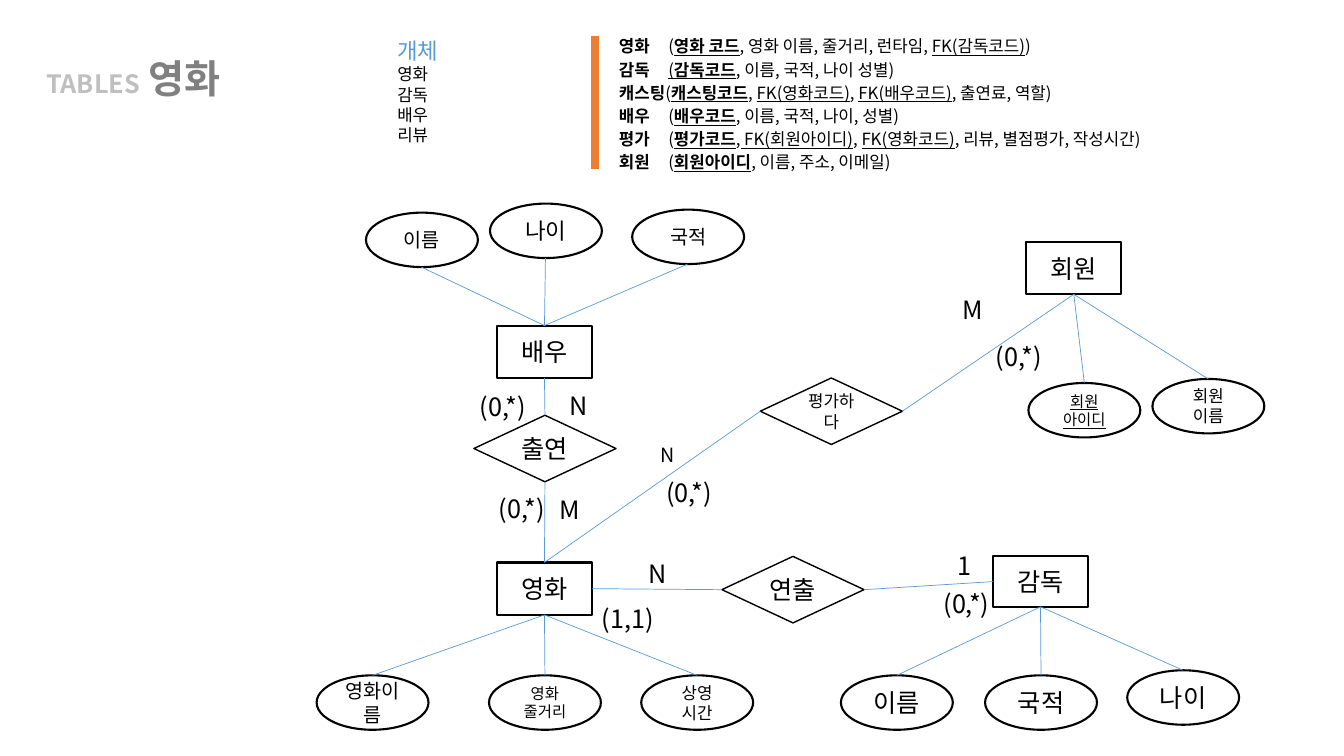
"""Draw the film database slide with its tables and entity diagram."""
from dataclasses import dataclass
from typing import NamedTuple

from lxml.etree import SubElement
from pptx import Presentation
from pptx.dml.color import RGBColor
from pptx.enum.shapes import MSO_CONNECTOR, MSO_SHAPE
from pptx.enum.text import MSO_ANCHOR, MSO_AUTO_SIZE, PP_ALIGN
from pptx.oxml.ns import qn
from pptx.shapes.connector import Connector
from pptx.slide import Slide
from pptx.text.text import TextFrame, _Paragraph
from pptx.util import Emu, Pt

BLACK = RGBColor(0x00, 0x00, 0x00)
WHITE = RGBColor(0xFF, 0xFF, 0xFF)
BLUE = RGBColor(0x5B, 0x9B, 0xD5)
ORANGE = RGBColor(0xED, 0x7D, 0x31)
SILVER = RGBColor(0xBF, 0xBF, 0xBF)
GRAY = RGBColor(0x80, 0x80, 0x80)
FONT = "Noto Sans CJK KR"
SCALE = 9144
TOP, LEFT, BOTTOM, RIGHT = range(4)


@dataclass(frozen=True)
class Kind:
    """Outline, size and line weight shared by like nodes."""
    form: MSO_SHAPE
    wide: int
    high: int
    weight: float


BOX = Kind(MSO_SHAPE.RECTANGLE, 94, 52, 1.5)
LOW = Kind(MSO_SHAPE.RECTANGLE, 94, 50, 1.5)
OVAL = Kind(MSO_SHAPE.OVAL, 111, 54, 1.5)
GEM = Kind(MSO_SHAPE.DIAMOND, 141, 66, 1)


class Node(NamedTuple):
    """One entity, relation or attribute."""
    text: str
    kind: Kind
    left: int
    top: int
    size: int = 18
    under: bool = False

    def side(self, site: int) -> tuple[int, int]:
        """Return the middle of one side."""
        wide, high = self.kind.wide, self.kind.high
        across, down = ((wide // 2, 0), (0, high // 2),
                        (wide // 2, high), (wide, high // 2))[site]
        return self.left + across, self.top + down


class Fan(NamedTuple):
    """Links from one side of a node to several others."""
    hub: str
    site: int
    ends: tuple[str, ...]
    side: int


class Label(NamedTuple):
    """A count beside a link."""
    text: str
    left: int
    top: int
    wide: int = 74
    size: int = 18


NODES = {
    "film": Node("영화", BOX, 493, 558),
    "film name": Node("영화이름", OVAL, 314, 670, 14),
    "plot": Node("영화 줄거리", OVAL, 485, 670, 11),
    "length": Node("상영 시간", OVAL, 636, 670, 12),
    "maker": Node("감독", LOW, 985, 552),
    "maker name": Node("이름", OVAL, 834, 670),
    "maker land": Node("국적", OVAL, 977, 670),
    "maker age": Node("나이", OVAL, 1118, 665),
    "direct": Node("연출", GEM, 716, 552),
    "actor": Node("배우", BOX, 493, 323),
    "actor name": Node("이름", OVAL, 363, 211, 14),
    "actor age": Node("나이", OVAL, 486, 202, 16),
    "actor land": Node("국적", OVAL, 627, 208, 14),
    "cast": Node("출연", GEM, 470, 412),
    "member": Node("회원", BOX, 1018, 240),
    "member id": Node("회원 아이디", OVAL, 1020, 380, 11, True),
    "member name": Node("회원 이름", OVAL, 1143, 376, 12),
    "rate": Node("평가하다", GEM, 754, 375, 12),
}
FANS = (
    Fan("film", BOTTOM, ("film name", "plot", "length"), TOP),
    Fan("maker", BOTTOM, ("maker name", "maker land", "maker age"), TOP),
    Fan("actor", TOP, ("actor name", "actor age", "actor land"), BOTTOM),
    Fan("member", BOTTOM, ("member id", "member name"), TOP),
    Fan("direct", LEFT, ("film",), RIGHT),
    Fan("maker", LEFT, ("direct",), RIGHT),
    Fan("cast", BOTTOM, ("film",), TOP),
    Fan("actor", BOTTOM, ("cast",), TOP),
    Fan("member", BOTTOM, ("rate",), RIGHT),
    Fan("rate", LEFT, ("film",), TOP),
)
LABELS = (
    Label("M", 545, 485, 34), Label("1", 940, 541, 34), Label("N", 633, 549, 34),
    Label("N", 555, 382, 34), Label("M", 945, 287, 34), Label("N", 645, 434, 34, 14),
    Label("(1,1)", 587, 594), Label("(0,*)", 651, 469), Label("(0,*)", 926, 579),
    Label("(0,*)", 466, 383), Label("(0,*)", 978, 334), Label("(0,*)", 485, 484),
)
TABLES = (
    (("영화\t", "b"), ("(", ""), ("영화 코드", "bu"), (", 영화 이름, 줄거리, 런타임, ", ""),
     ("FK(감독코드)", "u"), (")", "")),
    (("감독\t", "b"), ("(", "u"), ("감독코드", "bu"), (", 이름, 국적, 나이 성별)", "")),
    (("캐스팅", "b"), ("(", ""), ("캐스팅코드", "bu"), (", ", ""), ("FK(영화코드)", "u"),
     (", ", ""), ("FK(배우코드)", "u"), (", 출연료, 역할)", "")),
    (("배우\t", "b"), ("(", ""), ("배우코드", "bu"), (", 이름, 국적, 나이, 성별)", "")),
    (("평가\t", "b"), ("(", ""), ("평가코드", "bu"), (",", ""), (" FK(회원아이디)", "u"),
     (", ", ""), ("FK(영화코드)", "u"), (", 리뷰, 별점평가, 작성시간)", "")),
    (("회원\t", "b"), ("(", ""), ("회원아이디", "bu"), (", 이름, 주소, 이메일)", "")),
)
ITEMS = ("개체", "영화", "감독", "배우", "리뷰")
TITLE = (("TABLES", 18, SILVER), (" ", 28, SILVER), ("영화", 28, GRAY))


def px(count: int) -> Emu:
    """Turn px into EMU."""
    return Emu(count * SCALE)


def add_run(para: _Paragraph, text: str, size: int, color: RGBColor = BLACK,
            mark: str = "") -> None:
    """Add one run; mark holds b for bold and u for underline."""
    run = para.add_run()
    run.text = text
    font = run.font
    font.name, font.size = FONT, Pt(size)
    font.bold, font.underline = "b" in mark, "u" in mark
    font.color.rgb = color
    SubElement(run._r.get_or_add_rPr(), qn("a:ea"), typeface=FONT)


def add_para(frame: TextFrame, first: bool) -> _Paragraph:
    """Return the first paragraph or a new one."""
    return frame.paragraphs[0] if first else frame.add_paragraph()


def add_text(slide: Slide, left: int, top: int, wide: int, high: int) -> TextFrame:
    """Add a wrapping text box that grows."""
    frame = slide.shapes.add_textbox(px(left), px(top), px(wide), px(high)).text_frame
    frame.word_wrap = True
    frame.auto_size = MSO_AUTO_SIZE.SHAPE_TO_FIT_TEXT
    return frame


def add_line(slide: Slide, start: tuple[int, int], end: tuple[int, int],
             color: RGBColor, weight: float) -> Connector:
    """Add a straight line with no shadow."""
    line = slide.shapes.add_connector(
        MSO_CONNECTOR.STRAIGHT, *(px(spot) for spot in start + end))
    line.line.color.rgb, line.line.width = color, Pt(weight)
    SubElement(line._element.spPr, qn("a:effectLst"))
    return line


def add_chart(slide: Slide) -> None:
    """Draw the nodes, their links and the counts."""
    shapes = {}
    for name, node in NODES.items():
        kind = node.kind
        shape = slide.shapes.add_shape(
            kind.form, px(node.left), px(node.top), px(kind.wide), px(kind.high))
        shape.shadow.inherit = False
        shape.fill.solid()
        shape.fill.fore_color.rgb = WHITE
        shape.line.color.rgb, shape.line.width = BLACK, Pt(kind.weight)
        frame = shape.text_frame
        frame.word_wrap, frame.vertical_anchor = True, MSO_ANCHOR.MIDDLE
        para = frame.paragraphs[0]
        para.alignment = PP_ALIGN.CENTER
        add_run(para, node.text, node.size, mark="u" if node.under else "")
        shapes[name] = shape
    for fan in FANS:
        for end in fan.ends:
            hub, leaf = NODES[fan.hub], NODES[end]
            line = add_line(slide, hub.side(fan.site), leaf.side(fan.side), BLUE, 0.5)
            line.begin_connect(shapes[fan.hub], fan.site)
            if leaf.kind != OVAL or fan.side == TOP:
                line.end_connect(shapes[end], fan.side)
    for label in LABELS:
        frame = add_text(slide, label.left, label.top, label.wide, 32)
        add_run(frame.paragraphs[0], label.text, label.size)


def add_head(slide: Slide) -> None:
    """Write the title, the entity list and the table list."""
    title = add_text(slide, 36, 49, 259, 57).paragraphs[0]
    for text, size, color in TITLE:
        add_run(title, text, size, color, "b")
    frame = add_text(slide, 394, 37, 89, 157)
    frame.auto_size = MSO_AUTO_SIZE.NONE
    frame.margin_left = frame.margin_right = frame.margin_top = frame.margin_bottom = 0
    for row, item in enumerate(ITEMS):
        size, color = (12, BLACK) if row else (16, BLUE)
        add_run(add_para(frame, row == 0), item, size, color)
    frame = add_text(slide, 604, 28, 720, 173)
    for row, runs in enumerate(TABLES):
        para = add_para(frame, row == 0)
        para.line_spacing = 1.15
        tabs = SubElement(para._p.get_or_add_pPr(), qn("a:tabLst"))
        SubElement(tabs, qn("a:tab"), pos=str(px(49)), algn="l")
        for text, mark in runs:
            add_run(para, text, 12, mark=mark)
    add_line(slide, (590, 36), (590, 168), ORANGE, 6)


def main() -> None:
    """Build and save the slide."""
    deck = Presentation()
    deck.slide_width, deck.slide_height = px(1333), px(750)
    slide = deck.slides.add_slide(deck.slide_layouts[6])
    add_chart(slide)
    add_head(slide)
    deck.save("out.pptx")


if __name__ == "__main__":
    main()
